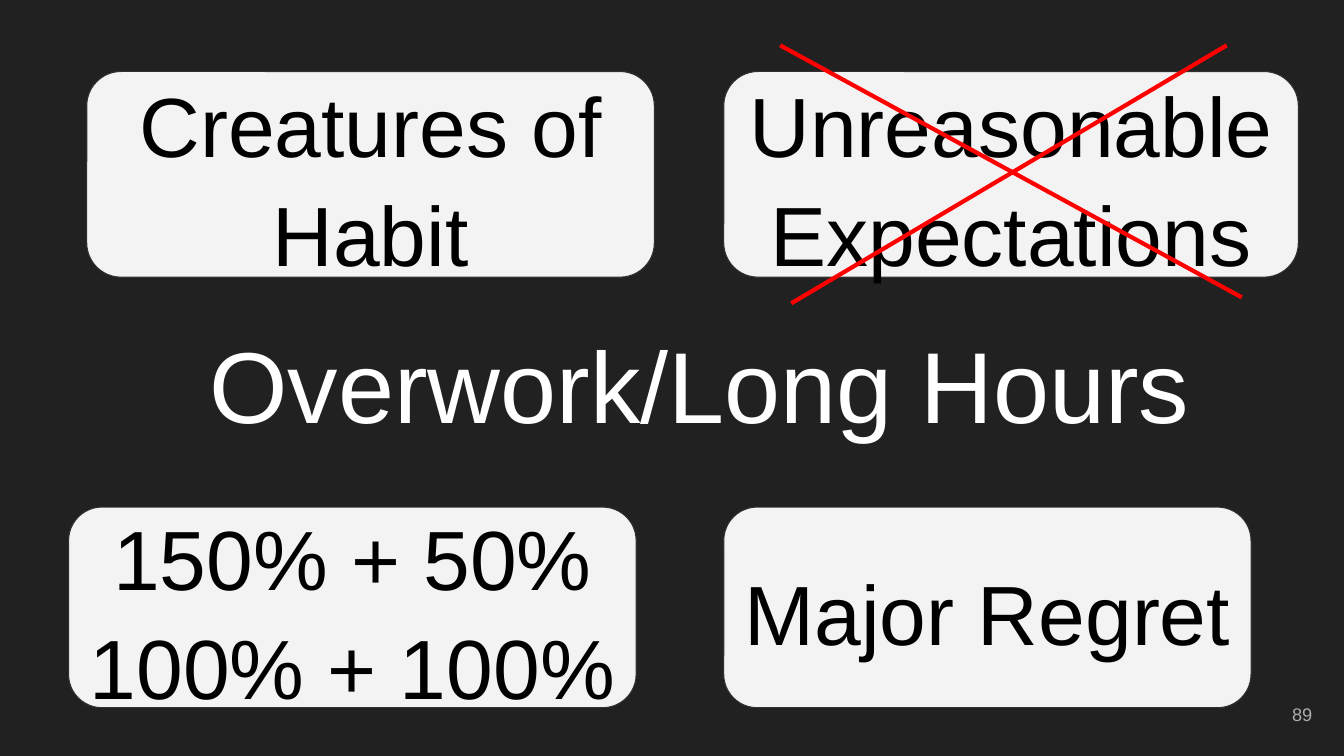
"""Build the Overwork/Long Hours slide."""
import dataclasses

import pptx
import pptx.dml.color
import pptx.enum.shapes
import pptx.enum.text
import pptx.oxml
import pptx.util

Pt = pptx.util.Pt
RGB = pptx.dml.color.RGBColor
Align = pptx.enum.text.PP_ALIGN

DARK = RGB(0x21, 0x21, 0x21)
PALE = RGB(0xF3, 0xF3, 0xF3)
EDGE = RGB(0x30, 0x30, 0x30)
BLACK = RGB(0x00, 0x00, 0x00)
WHITE = RGB(0xFF, 0xFF, 0xFF)
GREY = RGB(0xAD, 0xAD, 0xAD)
RED = RGB(0xFF, 0x00, 0x00)

TOP, LOW = (51.1, 146.9), (362.2, 143.3)


@dataclasses.dataclass(frozen=True)
class Card:
    """A rounded box: text, left, width and row (top, height)."""
    text: str
    left: float
    width: float
    row: tuple[float, float]


@dataclasses.dataclass(frozen=True)
class Stroke:
    """A line from one point to another."""
    start: tuple[float, float]
    end: tuple[float, float]


CARDS = [
    Card("Creatures of Habit", 62, 405.4, TOP),
    Card("Unreasonable Expectations", 517, 410.4, TOP),
    Card("Major Regret", 517, 376.6, LOW),
    Card("150% + 50%\n100% + 100%", 49, 405.4, LOW),
]
CROSS = [
    Stroke((557.3, 32.4), (887, 212.4)),
    Stroke((565.2, 216.7), (876.2, 32.4)),
]


def write(shape, text: str, *, size: float, color: RGB, inset: float,
          align=Align.CENTER, space: float = 1.08) -> None:
    """Fill a shape with text, one paragraph per line."""
    frame = shape.text_frame
    frame.text = text
    frame.word_wrap = True
    frame.auto_size = pptx.enum.text.MSO_AUTO_SIZE.NONE
    frame.vertical_anchor = pptx.enum.text.MSO_ANCHOR.MIDDLE
    for side in ("left", "top", "right", "bottom"):
        setattr(frame, f"margin_{side}", Pt(inset))
    for para in frame.paragraphs:
        para.alignment = align
        para.line_spacing = space
        para.space_before = Pt(0)
        for run in para.runs:
            run.font.name = "Arial"
            run.font.size = Pt(size)
            run.font.color.rgb = color


def box(slide, card: Card) -> None:
    """Draw one card."""
    top, height = card.row
    shape = slide.shapes.add_shape(
        pptx.enum.shapes.MSO_SHAPE.ROUNDED_RECTANGLE,
        Pt(card.left), Pt(top), Pt(card.width), Pt(height))
    shape.shadow.inherit = False
    shape.fill.solid()
    shape.fill.fore_color.rgb = PALE
    shape.line.color.rgb = EDGE
    shape.line.width = Pt(0.75)
    write(shape, card.text, size=60, color=BLACK, inset=7.2)


def strike(slide, stroke: Stroke) -> None:
    """Draw one red line."""
    line = slide.shapes.add_connector(
        pptx.enum.shapes.MSO_CONNECTOR.STRAIGHT,
        *map(Pt, stroke.start + stroke.end))
    line.line.color.rgb = RED
    line.line.width = Pt(3)
    props = line._element.spPr
    props.append(pptx.oxml.parse_xml(
        '<a:effectLst xmlns:a='
        '"http://schemas.openxmlformats.org/drawingml/2006/main"/>'))


def main() -> None:
    """Build and save the slide."""
    deck = pptx.Presentation()
    deck.slide_width, deck.slide_height = Pt(960), Pt(540)
    slide = deck.slides.add_slide(deck.slide_layouts.get_by_name("Title Only"))
    slide.background.fill.solid()
    slide.background.fill.fore_color.rgb = DARK

    page = slide.shapes.add_textbox(Pt(889.2), Pt(489.6), Pt(57.6), Pt(41))
    write(page, "89", size=13, color=GREY, inset=9.4,
          align=Align.RIGHT, space=1)
    for card in CARDS:
        box(slide, card)

    title = slide.shapes.title
    title.left, title.top = Pt(52.6), Pt(226.1)
    title.width, title.height = Pt(894.2), Pt(88.6)
    write(title, "Overwork/Long Hours", size=72, color=WHITE, inset=9.4)
    for stroke in CROSS:
        strike(slide, stroke)
    deck.save("out.pptx")


if __name__ == "__main__":
    main()
